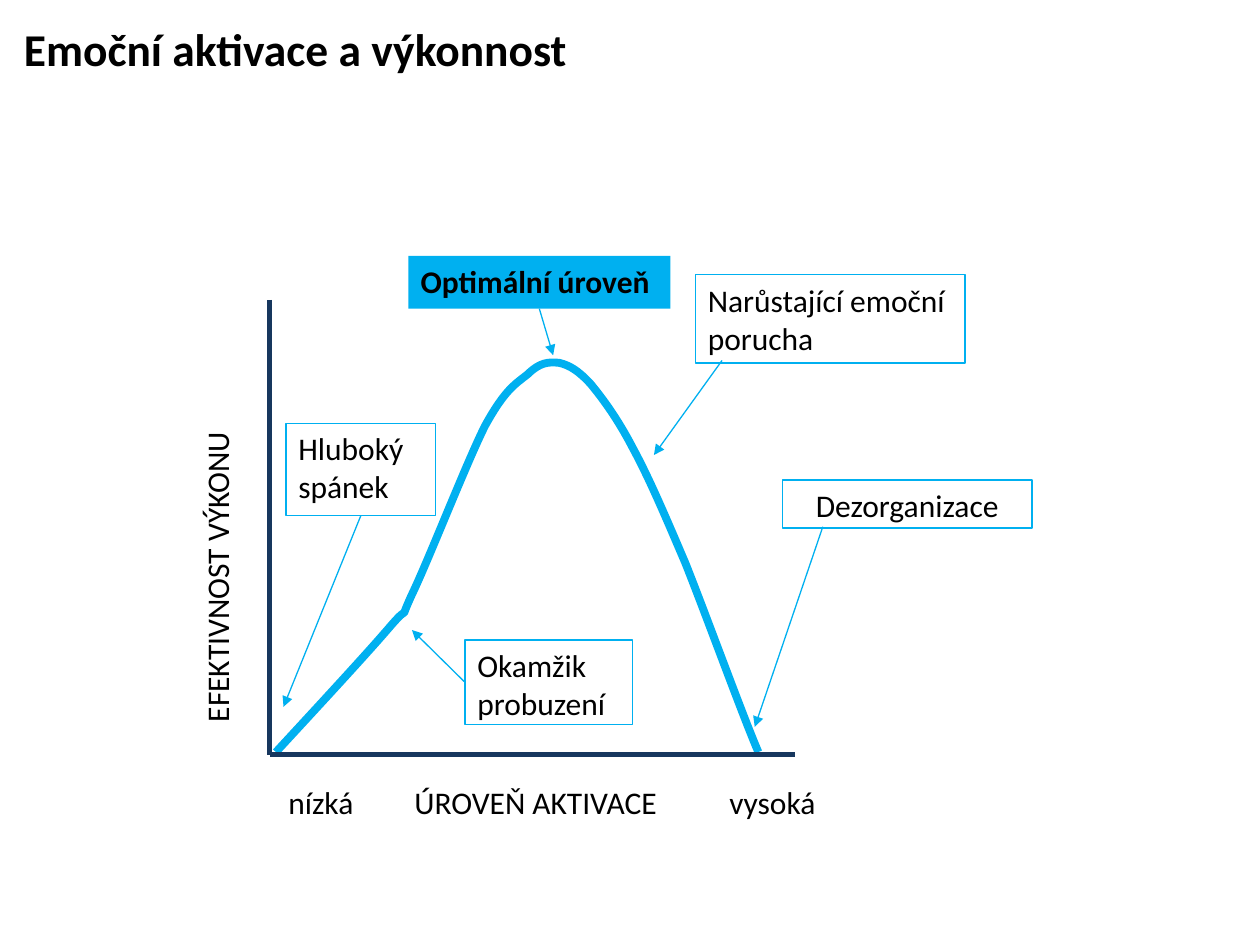
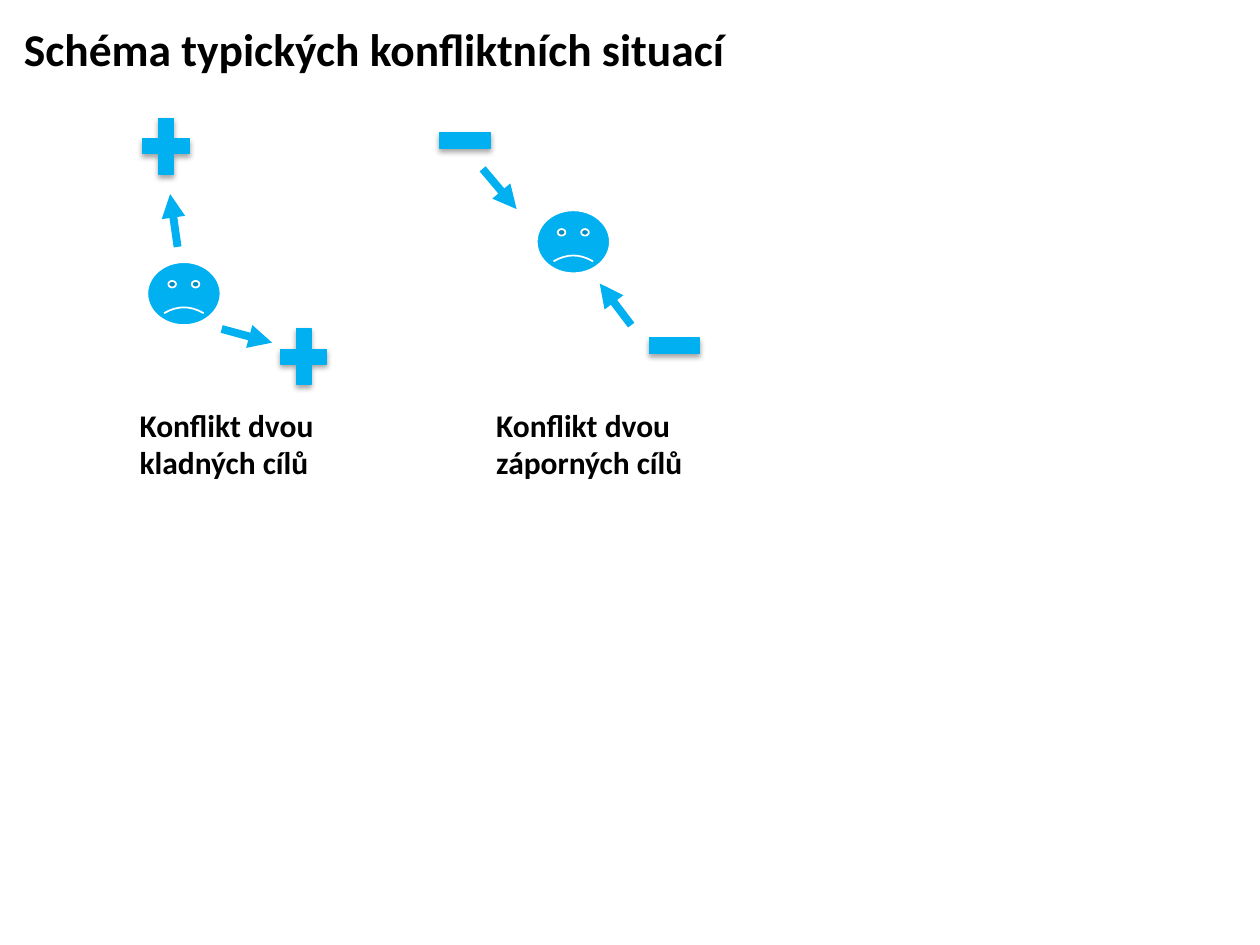
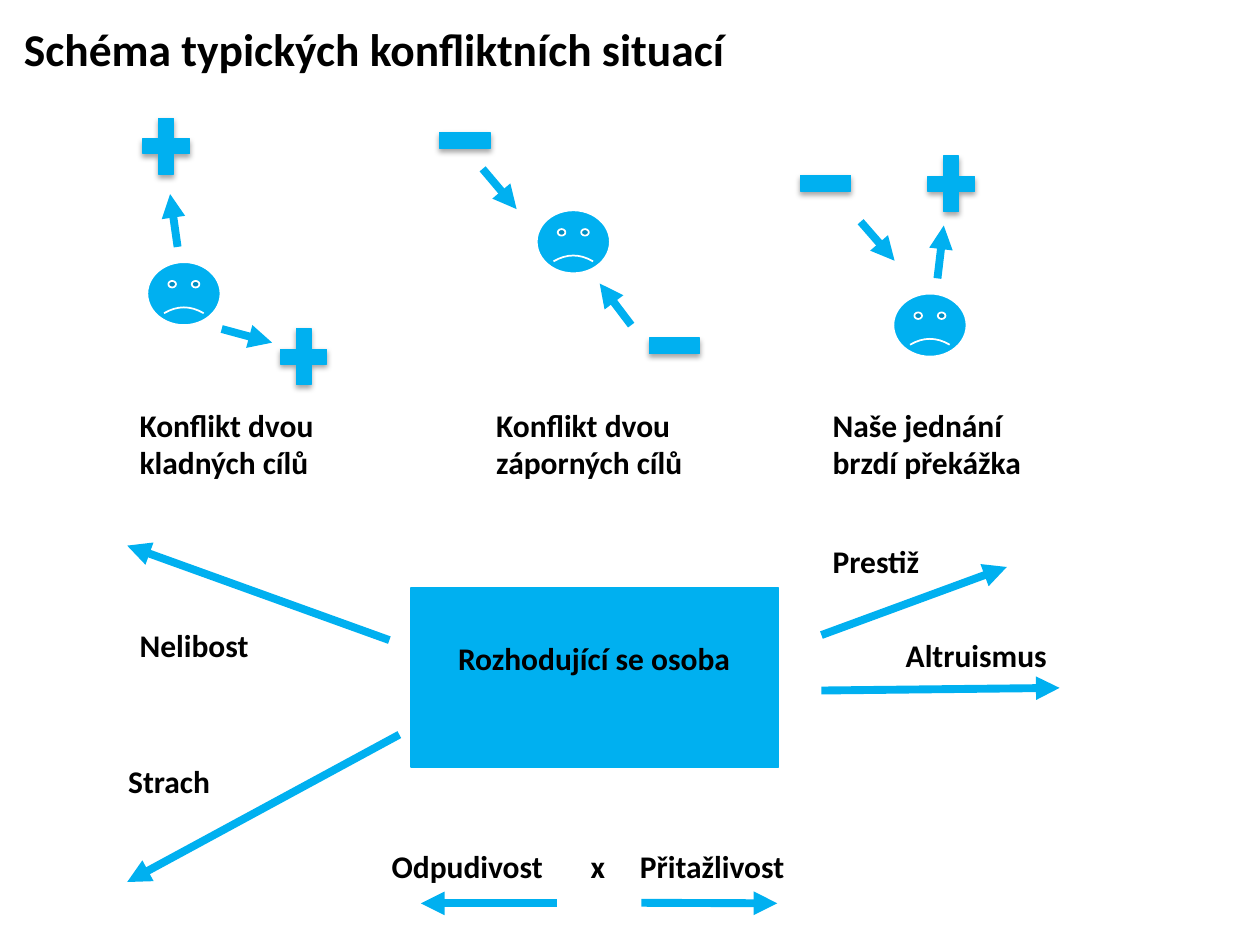
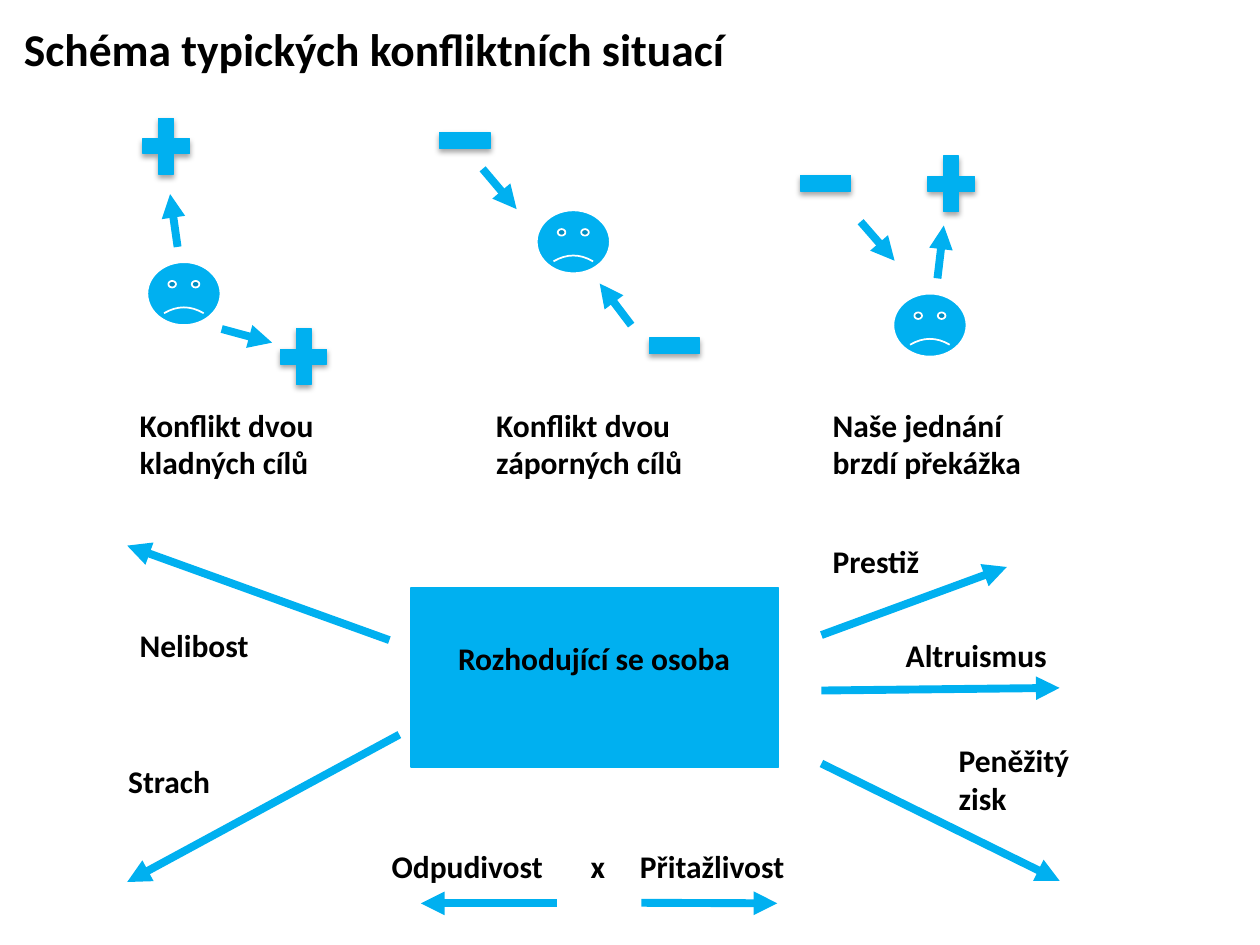
from lxml import etree
from pptx import Presentation
from pptx.dml.color import RGBColor
from pptx.enum.shapes import MSO_CONNECTOR, MSO_SHAPE
from pptx.enum.text import MSO_ANCHOR, PP_ALIGN
from pptx.oxml.ns import qn
from pptx.util import Pt

STRAIGHT = MSO_CONNECTOR.STRAIGHT
RECTANGLE = MSO_SHAPE.RECTANGLE
FACE = MSO_SHAPE.SMILEY_FACE
PLUS = MSO_SHAPE.MATH_PLUS
MINUS = MSO_SHAPE.MATH_MINUS
TOP = MSO_ANCHOR.TOP
LEFT = PP_ALIGN.LEFT
CENTER = PP_ALIGN.CENTER

COLORS = {"accent": "00B0F0", "axis": "17375E", "text": "000000", "white": "FFFFFF"}
FONT = "Calibri"
TITLE_SIZE, BODY_SIZE = 26, 18
THIN, THICK = 0.75, 4.5
BOTTOM_SIDE, LEFT_SIDE = 2, 1

# Curve of performance: a start, then three points for each Bézier section
CURVE_START = (157.7, 429.8)
CURVE_SECTIONS = [
    ((184.3, 401), (210.2, 373), (223.2, 357.8)),
    ((236.2, 342.7), (226.8, 358.6), (235.4, 339.8)),
    ((244.8, 320.4), (266.4, 265), (277.2, 243.4)),
    ((288.7, 222.5), (294.5, 219.6), (301.7, 213.8)),
    ((308.2, 207.4), (313.2, 206.6), (319.7, 207.4)),
    ((325.4, 208.8), (330.5, 211.7), (337.7, 219.6)),
    ((344.2, 227.5), (352.8, 239), (361.4, 255.6)),
    ((370.8, 272.9), (379.4, 293), (391.7, 321.8)),
    ((403.2, 350.6), (425.5, 411.8), (433.4, 429.8)),
]


def rgb(name):
    return RGBColor.from_string(COLORS[name])


class Deck:
    def __init__(self):
        self.deck = Presentation()
        self.deck.slide_width, self.deck.slide_height = Pt(720), Pt(540)
        self.page = None

    def new_page(self, title, title_height):
        self.page = self.deck.slides.add_slide(self.deck.slide_layouts[6])
        box = self.text(title, 13.7, 12.2, 695, title_height, TITLE_SIZE, bold=True)
        frame = box.text_frame
        frame.margin_left = frame.margin_top = frame.margin_right = frame.margin_bottom = 0

    def set_text(self, shape, text, size=BODY_SIZE, bold=False, align=LEFT):
        frame = shape.text_frame
        frame.word_wrap = True
        frame.vertical_anchor = TOP
        frame.text = text
        para = frame.paragraphs[0]
        para.alignment = align
        font = para.runs[0].font
        font.name, font.size, font.bold = FONT, Pt(size), bold
        font.color.rgb = rgb("text")

    def text(self, text, left, top, width, height, size=BODY_SIZE, bold=False, align=LEFT):
        box = self.page.shapes.add_textbox(Pt(left), Pt(top), Pt(width), Pt(height))
        self.set_text(box, text, size, bold, align)
        return box

    def shape(self, kind, left, top, width, height, fill=None, line=None, weight=THIN):
        shape = self.page.shapes.add_shape(kind, Pt(left), Pt(top), Pt(width), Pt(height))
        self.style(shape, fill, line, weight)
        return shape

    def style(self, shape, fill, line, weight):
        shape.shadow.inherit = False
        if fill:
            shape.fill.solid()
            shape.fill.fore_color.rgb = rgb(fill)
        else:
            shape.fill.background()
        if line:
            shape.line.color.rgb = rgb(line)
            shape.line.width = Pt(weight)
        else:
            shape.line.fill.background()

    def callout(self, text, left, top, width, height, align=LEFT):
        box = self.shape(RECTANGLE, left, top, width, height, line="accent")
        self.set_text(box, text, align=align)
        return box

    def line(self, start, end, color="accent", weight=THICK, arrow=True):
        line = self.page.shapes.add_connector(STRAIGHT, *map(Pt, (*start, *end)))
        line.line.color.rgb = rgb(color)
        line.line.width = Pt(weight)
        properties = line._element.spPr
        if arrow:
            etree.SubElement(properties.find(qn("a:ln")), qn("a:tailEnd"), type="triangle")
        etree.SubElement(properties, qn("a:effectLst"))
        return line

    def curve(self, start, sections, weight):
        points = [(Pt(x), Pt(y)) for section in sections for x, y in section]
        builder = self.page.shapes.build_freeform(Pt(start[0]), Pt(start[1]))
        builder.add_line_segments(points, close=False)
        curve = builder.convert_to_shape()
        self.style(curve, None, "accent", weight)
        # Join each three straight segments into one Bézier section
        outline = next(curve._element.iter(qn("a:path")))
        segments = outline.findall(qn("a:lnTo"))
        for first in range(0, len(segments), 3):
            bezier = etree.SubElement(outline, qn("a:cubicBezTo"))
            for segment in segments[first:first + 3]:
                bezier.append(segment[0])
                outline.remove(segment)

    def sign(self, kind, left, top):
        width, height = (36, 43.2) if kind == PLUS else (39, 38)
        sign = self.shape(kind, left, top, width, height, "accent", "accent")
        effects = sign._element.spPr.find(qn("a:effectLst"))
        shadow = etree.SubElement(effects, qn("a:outerShdw"), blurRad=str(Pt(3.1)),
                                  dist=str(Pt(1.8)), dir="5400000", rotWithShape="0")
        color = etree.SubElement(shadow, qn("a:srgbClr"), val=COLORS["text"])
        etree.SubElement(color, qn("a:alpha"), val="35000")

    def face(self, left, top):
        face = self.shape(FACE, left, top, 41.8, 36, "accent", "white", 1)
        face.adjustments[0] = -0.05

    def label(self, text, left, top, width=114, height=29):
        return self.text(text, left, top, width, height, bold=True)

    def conflict(self, caption, caption_left, face, arrows, signs):
        self.label(caption, caption_left, 228.2, 150, 51)
        self.face(*face)
        for start, end in arrows:
            self.line(start, end)
        for kind, left, top in signs:
            self.sign(kind, left, top)


def activation_page(deck):
    deck.new_page("Emoční aktivace a výkonnost", 37.4)
    deck.curve(CURVE_START, CURVE_SECTIONS, THICK)

    # Axes and their captions
    origin = (154.1, 431.3)
    deck.line((154.1, 171.4), origin, "axis", 3, arrow=False)
    deck.line(origin, (454.3, 431.3), "axis", 3, arrow=False)
    for caption, left, width in (("nízká", 157.7, 92), ("ÚROVEŇ AKTIVACE", 229.7, 200),
                                 ("vysoká", 409.7, 92)):
        deck.text(caption, left, 444.2, width, 26.6)
    deck.text("EFEKTIVNOST VÝKONU", -31.7, 254.9, 306, 23.8).rotation = 270

    # Callouts
    waking = deck.callout("Okamžik probuzení", 265.7, 365.8, 95.8, 48.2)
    sleep = deck.callout("Hluboký spánek", 163.4, 241.9, 85.7, 52.6)
    deck.callout("Narůstající emoční porucha", 397.4, 157, 154.1, 50.4)
    deck.callout("Dezorganizace", 447.1, 274.3, 142.6, 27.4, CENTER)
    optimum = deck.shape(RECTANGLE, 233.3, 146.2, 149.8, 30.2, "accent")
    deck.set_text(optimum, "Optimální úroveň", bold=True)

    # Pointers from the callouts to the curve
    for box, side, start, end in (
        (waking, LEFT_SIDE, (265.7, 390), (235.4, 360)),
        (sleep, BOTTOM_SIDE, (206, 294.5), (162, 403.9)),
        (optimum, BOTTOM_SIDE, (308, 176.4), (316.1, 203)),
        (None, None, (412.6, 206), (373.7, 260)),
        (None, None, (470.2, 301), (431.3, 415.4)),
    ):
        pointer = deck.line(start, end, weight=THIN)
        if box:
            pointer.begin_connect(box, side)


def conflict_page(deck):
    deck.new_page("Schéma typických konfliktních situací", 152.6)
    deck.conflict("Konflikt dvou kladných cílů", 72.7, (84.2, 149.8),
                  [((126.7, 188), (155.5, 195.8)), ((101.5, 141.1), (97.2, 110.9))],
                  [(PLUS, 77, 62), (PLUS, 155.5, 182.2)])
    deck.conflict("Konflikt dvou záporných cílů", 276.5, (306.7, 120.2),
                  [((360.7, 185.8), (342.7, 162)), ((275.8, 96.5), (295.2, 119.5))],
                  [(MINUS, 246.2, 61.2), (MINUS, 365.8, 178.6)])


def decision_page(deck):
    conflict_page(deck)
    deck.conflict("Naše jednání brzdí překážka", 468.7, (510.5, 167.8),
                  [((491.8, 126.7), (511.2, 149)), ((535.7, 159.1), (539.3, 128.9))],
                  [(PLUS, 525.6, 83.5), (MINUS, 452.2, 85.7)])

    # The person who decides
    deck.shape(RECTANGLE, 234.7, 336.2, 210.2, 102.2, "accent", "accent", 1)
    person = deck.text("Rozhodující se osoba", 240.5, 354.2, 198, 50.4, bold=True, align=CENTER)
    person.text_frame.margin_top = Pt(11)

    # Forces that push away (left) and attract (right)
    for name, left, top, start, end in (
        ("Nelibost", 72.7, 354.2, (222.5, 365.8), (72.7, 311.8)),
        ("Strach", 66.2, 432, (228.2, 419.8), (72.7, 504)),
        ("Altruismus", 510.5, 360, (469.4, 394.6), (605.5, 393.1)),
        ("Prestiž", 468.7, 306, (469.4, 362.9), (575.3, 324)),
    ):
        deck.line(start, end)
        deck.label(name, left, top)

    # Legend
    deck.label("Odpudivost", 216.7, 480.2, 104)
    deck.label("x", 330.5, 480.2, 28)
    deck.label("Přitažlivost", 358.6, 480.2)
    deck.line((318.2, 516.2), (240.5, 516.2))
    deck.line((366.5, 515.9), (444.2, 516.2))


def main():
    deck = Deck()
    activation_page(deck)
    conflict_page(deck)
    decision_page(deck)
    decision_page(deck)
    # The last page adds one more attraction
    deck.line((469.4, 436.3), (605.5, 503.3))
    deck.label("Peněžitý zisk", 540.7, 419.8, 102.2, 51)
    deck.deck.save("out.pptx")


if __name__ == "__main__":
    main()
